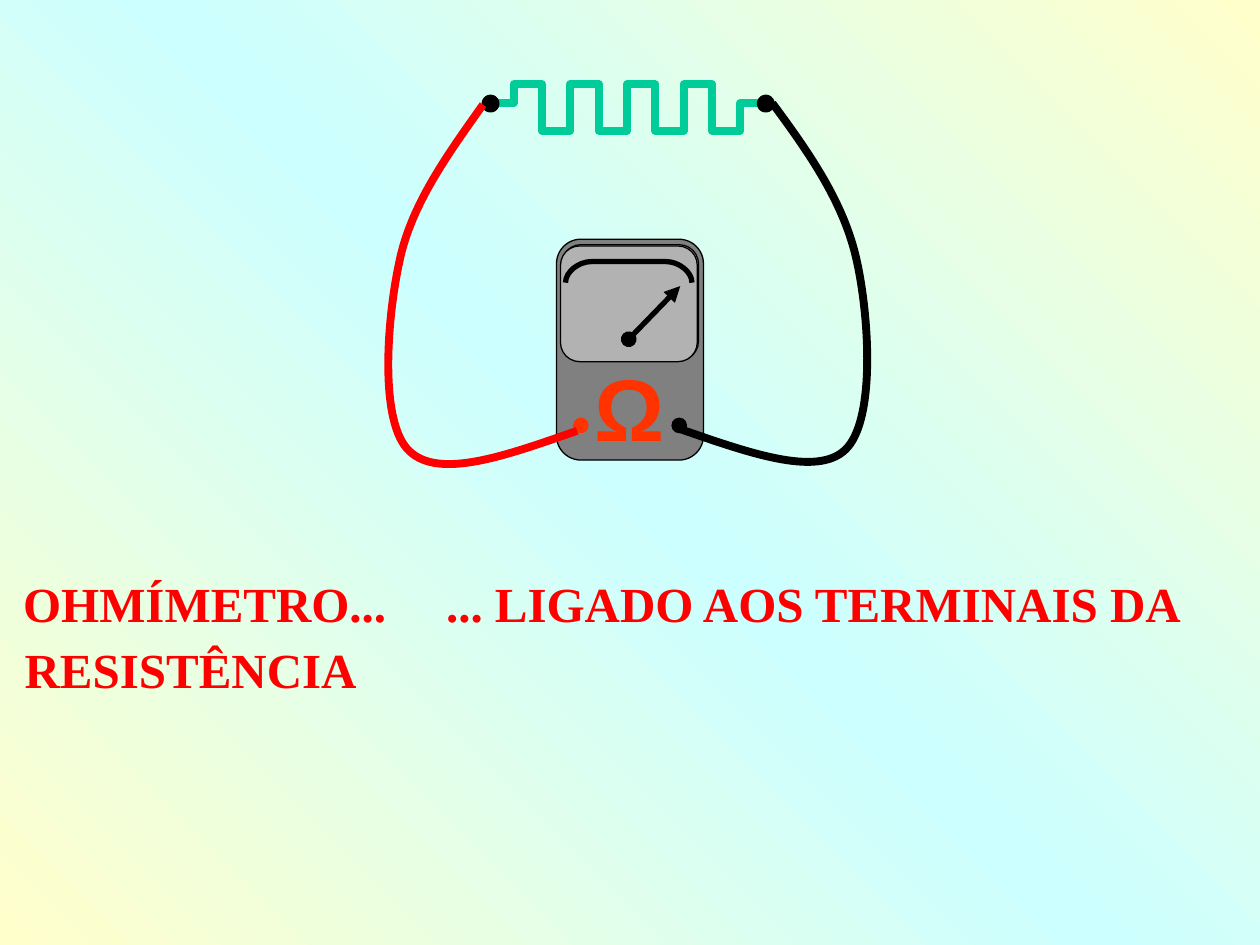
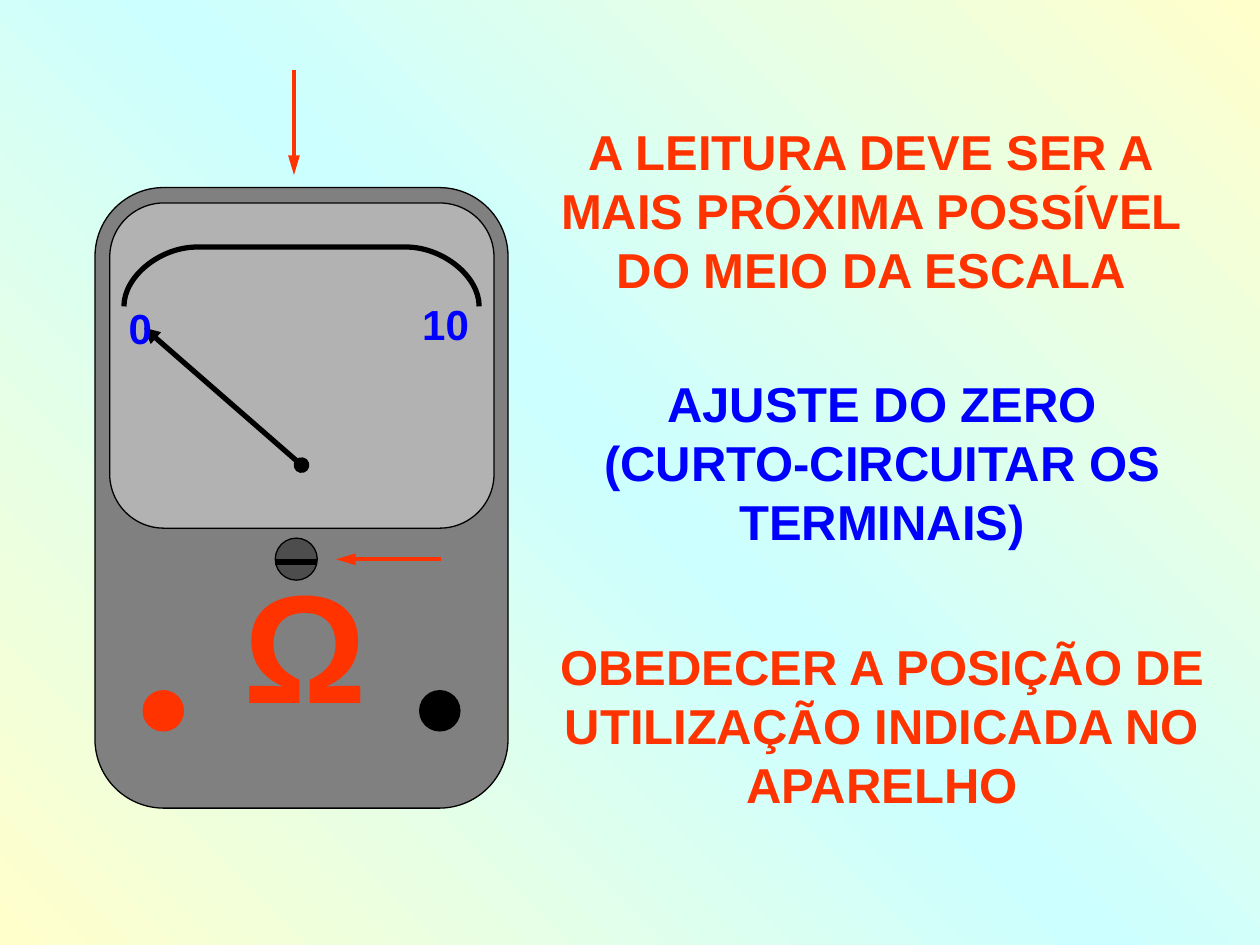
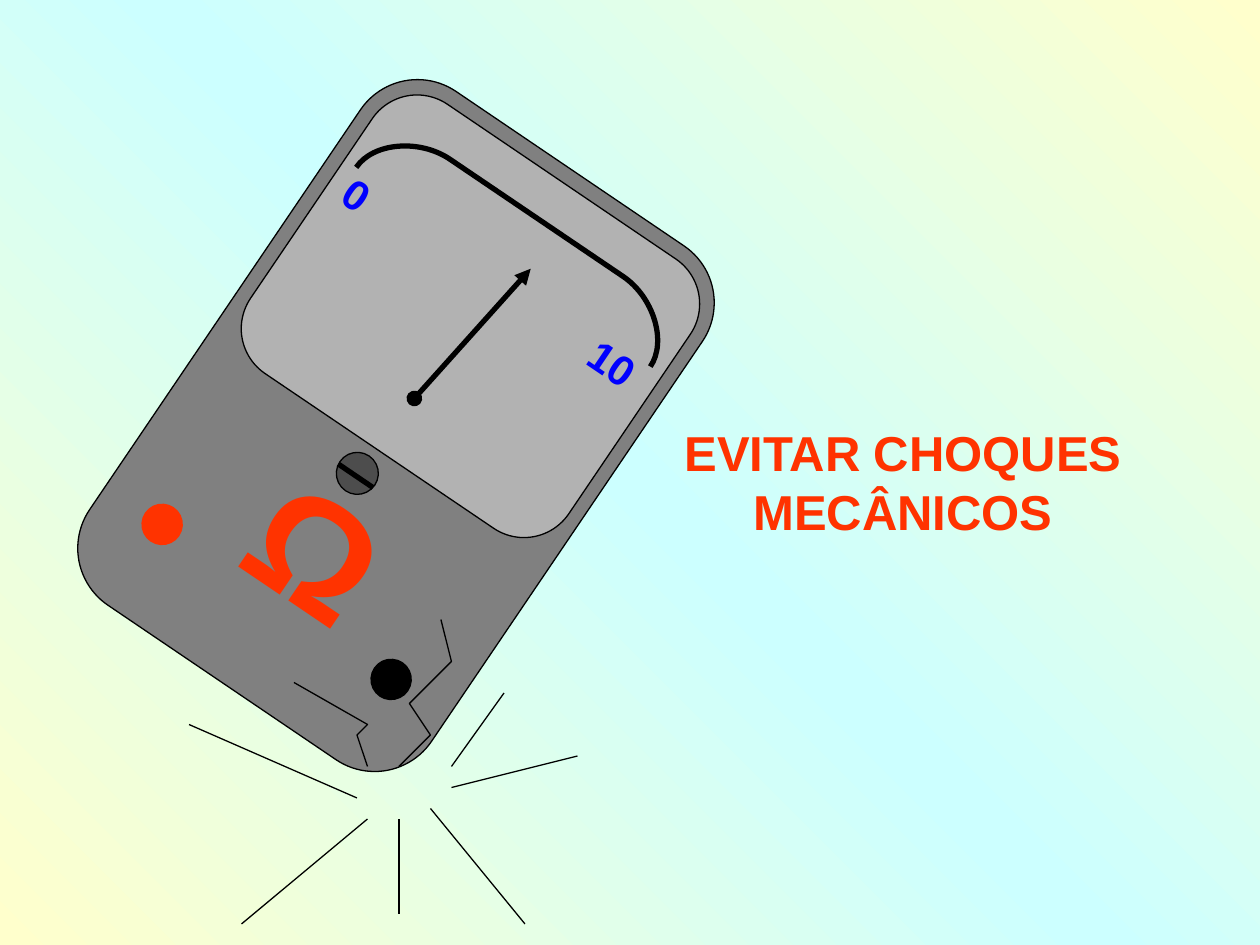
from copy import deepcopy
from dataclasses import dataclass
from math import cos, radians, sin
from typing import Optional

from lxml import etree
from pptx import Presentation
from pptx.dml.color import RGBColor
from pptx.enum.shapes import MSO_CONNECTOR, MSO_SHAPE
from pptx.enum.text import MSO_AUTO_SIZE, PP_ALIGN
from pptx.oxml.ns import qn
from pptx.util import Pt

STRAIGHT = MSO_CONNECTOR.STRAIGHT
OVAL = MSO_SHAPE.OVAL
ROUNDED = MSO_SHAPE.ROUNDED_RECTANGLE
LEFT, CENTER = PP_ALIGN.LEFT, PP_ALIGN.CENTER
GROW = MSO_AUTO_SIZE.SHAPE_TO_FIT_TEXT

CREAM = RGBColor(0xFF, 0xFF, 0xCC)
SKY = RGBColor(0xCC, 0xFF, 0xFF)
BLACK = RGBColor(0, 0, 0)
RED = RGBColor(0xFF, 0, 0)
ORANGE = RGBColor(0xFF, 0x33, 0)
BLUE = RGBColor(0, 0, 0xFF)
GREEN = RGBColor(0, 0xCC, 0x99)
CASE_GRAY = RGBColor(0x80, 0x80, 0x80)
DISPLAY_GRAY = RGBColor(0xB2, 0xB2, 0xB2)
SCREW_GRAY = RGBColor(0x4D, 0x4D, 0x4D)

SANS, SERIF = "Arial", "Times New Roman"
THIN, THICK, WIRE = 0.75, 3, 4.5
CASE_WIDTH, CASE_HEIGHT = 236, 354.6

Point = tuple[float, float]
Segment = tuple[Point, ...]


@dataclass(frozen=True)
class Symbol:
    offset: Point = (1, 82.4)
    box: Point = (82, 113)
    size: float = 88
    spacing: Optional[float] = None


@dataclass(frozen=True)
class Meter:
    center: Point
    needle_tip: Point
    width: float = CASE_WIDTH
    rotation: float = 0
    symbol: Symbol = Symbol()
    dial_shifts: tuple[Point, ...] = ((0, 0),)
    detailed: bool = True

    @property
    def scale(self) -> float:
        return self.width / CASE_WIDTH

    def place(self, offset: Point, shift: Point = (0, 0)) -> Point:
        angle = radians(self.rotation)
        x = (offset[0] + shift[0]) * self.scale
        y = (offset[1] + shift[1]) * self.scale
        return (self.center[0] + x * cos(angle) - y * sin(angle),
                self.center[1] + x * sin(angle) + y * cos(angle))


@dataclass(frozen=True)
class Caption:
    lines: tuple[str, ...]
    left: float
    top: float
    width: float
    height: float
    color: RGBColor
    font: str = SANS
    align: PP_ALIGN = CENTER
    wrap: bool = True


@dataclass(frozen=True)
class Wire:
    color: RGBColor
    start: Point
    curves: tuple[Segment, ...]


def add_text(slide, lines: tuple[str, ...], left: float, top: float,
             width: float, height: float, *, size: float = 28,
             color: RGBColor = ORANGE, font: str = SANS,
             align: PP_ALIGN = LEFT, wrap: bool = False,
             rotation: float = 0, spacing: Optional[float] = None) -> None:
    box = slide.shapes.add_textbox(Pt(left), Pt(top), Pt(width), Pt(height))
    box.rotation = rotation
    frame = box.text_frame
    frame.word_wrap = wrap
    frame.auto_size = GROW
    for index, line in enumerate(lines):
        paragraph = frame.add_paragraph() if index else frame.paragraphs[0]
        paragraph.alignment = align
        paragraph.line_spacing = spacing
        run = paragraph.add_run()
        run.text = line
        run.font.name = font
        run.font.size = Pt(size)
        run.font.bold = True
        run.font.color.rgb = color


def add_figure(slide, kind: MSO_SHAPE, center: Point, width: float,
               height: float, fill: RGBColor, line: RGBColor = BLACK,
               weight: float = THIN, rotation: float = 0) -> None:
    shape = slide.shapes.add_shape(kind, Pt(center[0] - width / 2),
                                   Pt(center[1] - height / 2),
                                   Pt(width), Pt(height))
    shape.shadow.inherit = False
    shape.rotation = rotation
    shape.fill.solid()
    shape.fill.fore_color.rgb = fill
    shape.line.color.rgb = line
    shape.line.width = Pt(weight)


def add_line(slide, start: Point, end: Point, color: RGBColor = BLACK,
             weight: float = THIN, head: str = "", tail: str = "",
             tail_length: str = "med") -> None:
    connector = slide.shapes.add_connector(
        STRAIGHT, *(Pt(value) for value in (*start, *end)))
    connector.line.color.rgb = color
    connector.line.width = Pt(weight)
    properties = connector.element.spPr
    outline = properties.find(qn("a:ln"))
    for tag, kind, length in (("a:headEnd", head, "med"),
                              ("a:tailEnd", tail, tail_length)):
        if kind:
            etree.SubElement(outline, qn(tag), type=kind, w="med", len=length)
    etree.SubElement(properties, qn("a:effectLst"))


def add_path(slide, start: Point, segments: list[Segment],
             color: RGBColor = BLACK, weight: float = THIN) -> None:
    builder = slide.shapes.build_freeform(Pt(start[0]), Pt(start[1]))
    builder.add_line_segments([(Pt(x), Pt(y)) for segment in segments
                               for x, y in segment], close=False)
    shape = builder.convert_to_shape()
    shape.shadow.inherit = False
    shape.fill.background()
    shape.line.color.rgb = color
    shape.line.width = Pt(weight)
    steps = iter(list(shape.element.iter(qn("a:lnTo"))))
    for segment in segments:
        nodes = [next(steps) for _ in segment]
        if len(nodes) == 3:
            curve = etree.Element(qn("a:cubicBezTo"))
            nodes[0].addprevious(curve)
            for node in nodes:
                curve.append(node[0])
                node.getparent().remove(node)


def add_polyline(slide, points: list[Point], color: RGBColor = BLACK,
                 weight: float = THIN) -> None:
    add_path(slide, points[0], [(point,) for point in points[1:]],
             color, weight)


def add_meter(slide, meter: Meter) -> None:
    def part(kind: MSO_SHAPE, offset: Point, width: float, height: float,
             fill: RGBColor, line: RGBColor = BLACK,
             shift: Point = (0, 0)) -> None:
        add_figure(slide, kind, meter.place(offset, shift),
                   width * meter.scale, height * meter.scale, fill, line,
                   rotation=meter.rotation)

    def label(text: str, offset: Point, box: Point, **style) -> None:
        x, y = meter.place(offset)
        add_text(slide, (text,), x - box[0] / 2, y - box[1] / 2, *box,
                 rotation=meter.rotation, **style)

    part(ROUNDED, (0, 0), CASE_WIDTH, CASE_HEIGHT, CASE_GRAY)
    for shift in meter.dial_shifts:
        part(ROUNDED, (0.2, -75.6), 219.6, 185.8, DISPLAY_GRAY, shift=shift)
    symbol = meter.symbol
    label("Ω", symbol.offset, symbol.box, size=symbol.size,
          spacing=symbol.spacing)
    for x, color in ((-79, ORANGE), (79, BLACK)):
        part(OVAL, (x, 121.7), 23, 23, color, color)

    shift = meter.dial_shifts[-1]
    left_arc = [(-101.5, -109.4), (-101.5, -126.7),
                (-80.6, -143.3), (-59.8, -143.3)]
    right_arc = [(-x, y) for x, y in reversed(left_arc)]
    start, *arc = [meter.place(point, shift) for point in left_arc + right_arc]
    add_path(slide, start, [tuple(arc[:3]), (arc[3],), tuple(arc[4:])],
             weight=THICK)
    add_line(slide, meter.place((0, -18.7), shift),
             meter.place(meter.needle_tip),
             weight=THICK, head="oval", tail="triangle")

    if meter.detailed:
        part(OVAL, (-3, 35), 24, 24, SCREW_GRAY)
        add_line(slide, meter.place((-15, 36.7)), meter.place((9, 36.7)),
                 weight=THICK)
        label("0", (-92.4, -97.2), (27, 36), size=24, color=BLUE)
        label("10", (82.4, -99.2), (41, 36), size=24, color=BLUE)


def add_captions(slide, captions: tuple[Caption, ...]) -> None:
    for caption in captions:
        add_text(slide, caption.lines, caption.left, caption.top,
                 caption.width, caption.height, color=caption.color,
                 font=caption.font, align=caption.align, wrap=caption.wrap)


def add_resistor(slide) -> None:
    left, step, middle, top, bottom = 277.3, 16.2, 59, 48.2, 74.9
    levels = [middle] + [top, bottom] * 4 + [middle]
    points = []
    for index, level in enumerate(levels):
        x = left + step * index
        points += [(x, level), (x + step, level)]
    add_polyline(slide, points, GREEN, WIRE)
    for x in (280.3, 437.6):
        add_figure(slide, OVAL, (x, 59.2), 5.8, 5.8, BLACK, weight=WIRE)


def set_background(presentation) -> None:
    master = presentation.slide_master
    fill = master.background.fill
    fill.gradient()
    fill.gradient_angle = 225
    stops = master.element.find(".//" + qn("a:gsLst"))
    stops.insert(1, deepcopy(stops[0]))
    for stop, position, color in zip(fill.gradient_stops, (0, 0.5, 1),
                                     (CREAM, SKY, CREAM)):
        stop.position = position
        stop.color.rgb = color


WIRES = (
    Wire(RED, (276, 59.8), (
        ((255.6, 88.6), (234.7, 117.4), (228.2, 149.8)),
        ((221, 182.9), (216.7, 241.9), (234, 257.8)),
        ((251.3, 274.3), (290.2, 259.9), (329.8, 246.2)))),
    Wire(BLACK, (441.4, 59), (
        ((462.2, 87.1), (482.4, 115.9), (489.6, 149)),
        ((496.8, 181.4), (500.4, 240.5), (483.1, 257)),
        ((466.6, 272.9), (427, 258.5), (387.4, 244.8)))),
)
CONNECTION_CAPTIONS = (
    Caption(("OHMÍMETRO...",), 6.2, 324, 222, 41, RED, SERIF, LEFT, False),
    Caption(("... LIGADO AOS TERMINAIS DA",), 210, 324, 509.6, 41, RED, SERIF),
    Caption(("RESISTÊNCIA",), 7, 361.8, 204, 41, RED, SERIF, LEFT, False),
)
READING_CAPTIONS = (
    Caption(("A LEITURA DEVE SER A", "MAIS PRÓXIMA POSSÍVEL",
             "DO MEIO DA ESCALA"), 300, 66, 396, 108, ORANGE),
    Caption(("AJUSTE DO ZERO", "(CURTO-CIRCUITAR OS TERMINAIS)"),
            306, 210, 396, 108, BLUE),
    Caption(("OBEDECER A POSIÇÃO DE UTILIZAÇÃO INDICADA NO APARELHO",),
            306, 360.2, 396, 108, ORANGE),
)
SHOCK_CAPTIONS = (
    Caption(("EVITAR CHOQUES MECÂNICOS",), 318, 237.9, 396, 75, ORANGE),
)
POINTERS = (((168, 40), (168, 100)), ((252, 319.6), (192, 319.6)))
IMPACT_RAYS = (
    ((258, 450), (330, 432)), ((204, 456), (108, 414)),
    ((246, 462), (300, 528)), ((210, 468), (138, 528)),
    ((258, 438), (288, 396)), ((228, 468), (228, 522)),
)
CRACKS = (
    [(210, 438), (204, 420), (210, 414), (168, 390)],
    [(228, 438), (246, 420), (234, 402), (258, 378), (252, 354)],
)
CONNECTED_METER = Meter(
    (360, 199.8), (80.7, -102), width=84, detailed=False,
    symbol=Symbol((-3, 108), (52.6, 55.4), 50, 0.8),
    dial_shifts=((0, 0), (-2, 2)))
ZERO_METER = Meter((172.3, 284.5), (-90, -97.2))
FALLEN_METER = Meter((226.3, 243.2), (13.5, -117.4), rotation=34.1)


def build_connection_slide(slide) -> None:
    add_resistor(slide)
    add_meter(slide, CONNECTED_METER)
    for wire in WIRES:
        add_path(slide, wire.start, wire.curves, wire.color, WIRE)
    add_captions(slide, CONNECTION_CAPTIONS)


def build_reading_slide(slide) -> None:
    add_meter(slide, ZERO_METER)
    for start, end in POINTERS:
        add_line(slide, start, end, ORANGE, 2.25, tail="triangle",
                 tail_length="lg")
    add_captions(slide, READING_CAPTIONS)


def build_shock_slide(slide) -> None:
    add_meter(slide, FALLEN_METER)
    for start, end in IMPACT_RAYS:
        add_line(slide, start, end)
    for crack in CRACKS:
        add_polyline(slide, crack)
    add_captions(slide, SHOCK_CAPTIONS)


def main() -> None:
    presentation = Presentation()
    presentation.slide_width, presentation.slide_height = Pt(720), Pt(540)
    set_background(presentation)
    blank = presentation.slide_layouts[6]
    for build in (build_connection_slide, build_reading_slide,
                  build_shock_slide):
        build(presentation.slides.add_slide(blank))
    presentation.save("out.pptx")


if __name__ == "__main__":
    main()
